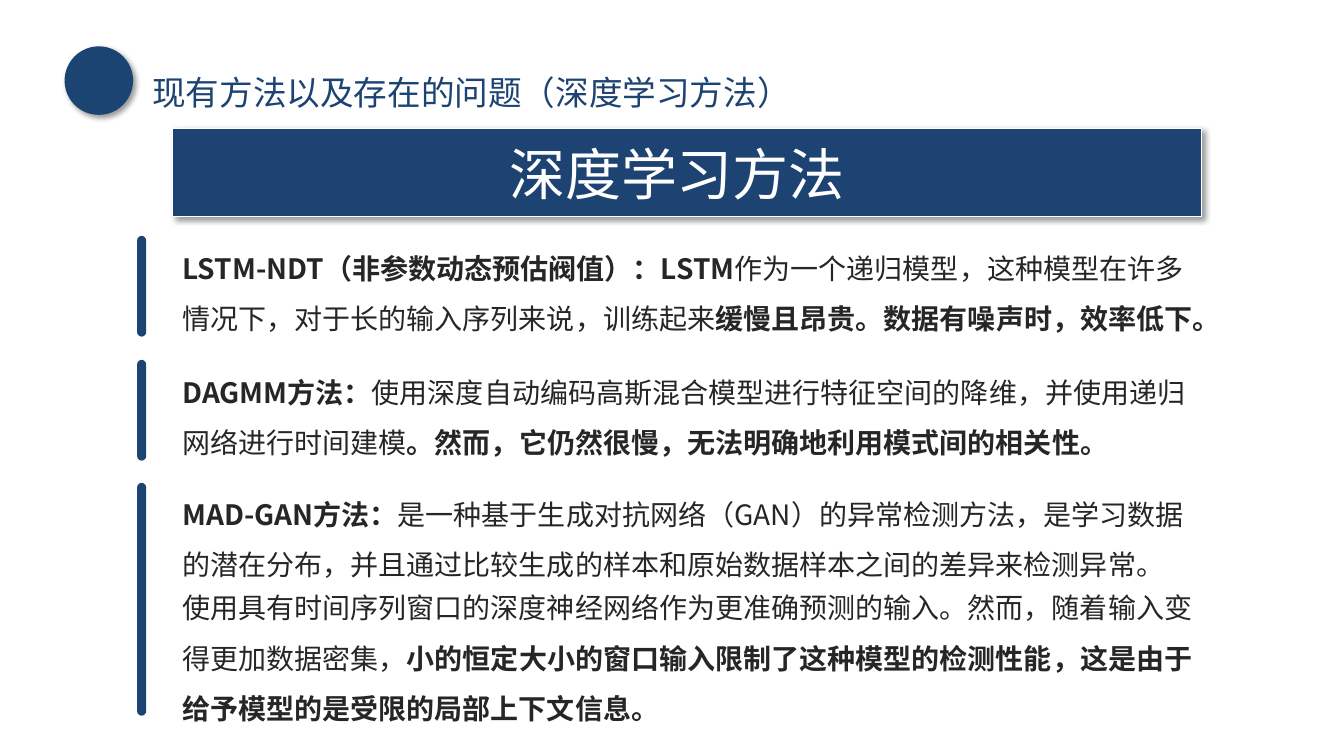
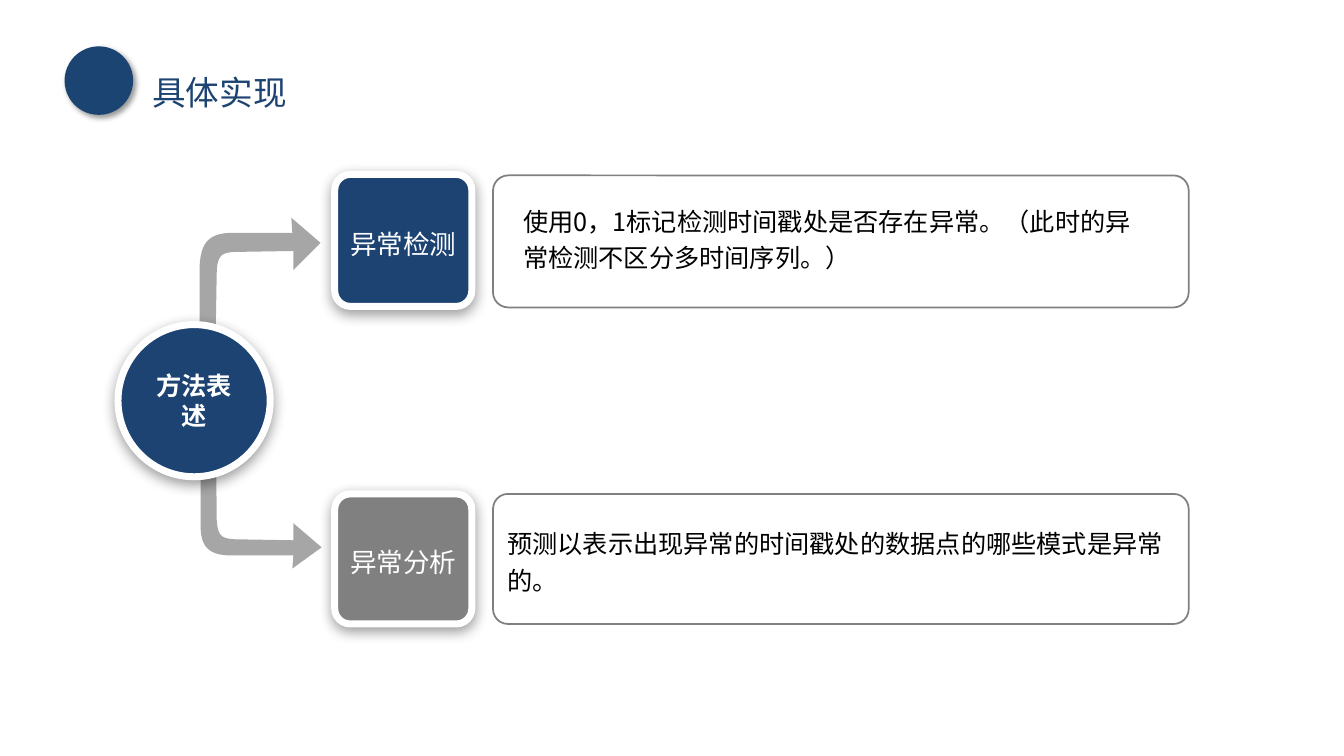
"""Build two slides on deep learning methods and the anomaly workflow."""
from lxml import etree
from pptx import Presentation
from pptx import util as u
from pptx.dml.color import RGBColor
from pptx.enum import shapes, text
from pptx.oxml.ns import qn

PX = 9144
NAVY = RGBColor(0x1C, 0x43, 0x72)
DISC = RGBColor(0x1B, 0x44, 0x72)
WHITE = RGBColor(0xFF, 0xFF, 0xFF)
BLACK = RGBColor(0, 0, 0)
INK = RGBColor(0x26, 0x26, 0x26)
GREY = RGBColor(0x80, 0x80, 0x80)
ARROW = RGBColor(0xA6, 0xA6, 0xA6)
SANS = "Noto Sans CJK SC"
HEAD = "Noto Sans CJK JP"
RECT = shapes.MSO_SHAPE.RECTANGLE
ROUND = shapes.MSO_SHAPE.ROUNDED_RECTANGLE
OVAL = shapes.MSO_SHAPE.OVAL
LEFT, MID = text.PP_ALIGN.LEFT, text.PP_ALIGN.CENTER
TOP, CENTRE = text.MSO_ANCHOR.TOP, text.MSO_ANCHOR.MIDDLE
GROW, FIXED = text.MSO_AUTO_SIZE.SHAPE_TO_FIT_TEXT, text.MSO_AUTO_SIZE.NONE
SOFT = (4, 3, 45)
DEEP = (10, 3, 90)


def draw(slide, kind, box, fill=None, line=None, width=0, shade=None, adj=None):
    form = slide.shapes.add_shape(kind, *[v * PX for v in box])
    if adj is not None:
        form.adjustments[0] = adj
    if fill is None:
        form.fill.background()
    else:
        form.fill.solid()
        form.fill.fore_color.rgb = fill
    if line is None:
        form.line.fill.background()
    else:
        form.line.color.rgb = line
        form.line.width = u.Pt(width)
    form.shadow.inherit = False
    if shade:
        blur, dist, angle = shade
        glow = etree.SubElement(
            form._element.spPr.find(qn("a:effectLst")), qn("a:outerShdw"),
            blurRad=str(u.Pt(blur)), dist=str(u.Pt(dist)),
            dir=str(angle * 60000), algn="ctr", rotWithShape="0")
        tint = etree.SubElement(glow, qn("a:srgbClr"), val="000000")
        etree.SubElement(tint, qn("a:alpha"), val="40000")
    return form


def write(form, runs, size, color, font=SANS, align=LEFT, space=1.0,
          anchor=CENTRE, fit=FIXED):
    frame = form.text_frame
    frame.word_wrap = True
    frame.auto_size = fit
    frame.vertical_anchor = anchor
    par = frame.paragraphs[0]
    par.alignment = align
    par.line_spacing = space
    for words, bold in runs:
        run = par.add_run()
        run.text = words
        run.font.size = u.Pt(size)
        run.font.bold = bold
        run.font.color.rgb = color
        run.font.name = font
        etree.SubElement(run._r.get_or_add_rPr(), qn("a:ea"), typeface=font)


deck = Presentation()
deck.slide_width = 1333 * PX
deck.slide_height = 750 * PX

pages = []
for words in ("现有方法以及存在的问题（深度学习方法）", "具体实现"):
    page = deck.slides.add_slide(deck.slide_layouts[5])
    title = page.shapes.title
    title.left, title.top, title.width, title.height = [
        v * PX for v in (141, 36, 1156, 80)]
    write(title, [(words, False)], 24, NAVY, HEAD, space=1.75, anchor=TOP)
    draw(page, OVAL, (64, 46, 68, 68), DISC, shade=SOFT)
    pages.append(page)
survey, work = pages

notes = [
    (227, 111, [
        ("LSTM-NDT（非参数动态预估阀值）：LSTM", True),
        ("作为一个递归模型，这种模型在许多情况下，对于长的输入序列来说，训练起来", False),
        ("缓慢且昂贵。数据有噪声时，效率低下。", True)]),
    (350, 111, [
        ("DAGMM方法：", True),
        ("使用深度自动编码高斯混合模型进行特征空间的降维，并使用递归网络进行时间建模", False),
        ("。然而，它仍然很慢，无法明确地利用模式间的相关性。", True)]),
    (471, 111, [
        ("MAD-GAN方法：", True),
        ("是一种基于生成对抗网络（GAN）的异常检测方法，是学习数据的潜在分布，"
         "并且通过比较生成的样本和原始数据样本之间的差异来检测异常。", False)]),
    (564, 161, [
        ("使用具有时间序列窗口的深度神经网络作为更准确预测的输入。"
         "然而，随着输入变得更加数据密集，", False),
        ("小的恒定大小的窗口输入限制了这种模型的检测性能，"
         "这是由于给予模型的是受限的局部上下文信息。", True)]),
]
for top, high, runs in notes:
    box = survey.shapes.add_textbox(*[v * PX for v in (171, top, 1025, high)])
    write(box, runs, 20, INK, space=1.5, fit=GROW)
for top, high in ((234, 100), (357, 100), (479, 231)):
    draw(survey, ROUND, (136, top, 9, high), NAVY, adj=0.5)
draw(survey, RECT, (171, 127, 1021, 88), NAVY, WHITE, 0.75, SOFT)
label = survey.shapes.add_textbox(*[v * PX for v in (430, 133, 483, 77)])
write(label, [("深度学习方法", False)], 40, WHITE, align=MID, fit=GROW)

bends = [
    [(214, 417), (215, 516), (216, 534, 222, 534, 233, 535), (291, 536),
     (291, 519), (319, 543), (290, 564), (291, 551),
     (291, 551, 251, 551, 229, 551), (207, 551, 199, 542, 199, 522),
     (199, 415), (202, 398, 211, 400, 214, 417)],
    [(213, 386), (215, 272), (215, 251, 222, 251, 232, 250), (291, 249),
     (291, 268), (318, 241), (289, 216), (290, 231),
     (290, 231, 250, 231, 228, 231), (206, 232, 199, 242, 198, 265),
     (198, 389), (201, 409, 210, 407, 213, 386)],
]
STEPS = 12
for start, *moves in bends:
    dots = [start]
    for move in moves:
        if len(move) == 2:
            dots.append(move)
            continue
        ends = [dots[-1], move[:2], move[2:4], move[4:]]
        for step in range(1, STEPS + 1):
            t = step / STEPS
            part = ((1 - t) ** 3, 3 * t * (1 - t) ** 2, 3 * t * t * (1 - t), t ** 3)
            dots.append(tuple(sum(k * e[i] for k, e in zip(part, ends))
                              for i in (0, 1)))
    dots = [(round(x * PX), round(y * PX)) for x, y in dots]
    path = work.shapes.build_freeform(*dots[0], scale=1.0)
    path.add_line_segments(dots[1:], close=True)
    bend = path.convert_to_shape()
    bend.fill.solid()
    bend.fill.fore_color.rgb = ARROW
    bend.line.fill.background()
    bend.shadow.inherit = False

tasks = [(174, 131, 173, 131, NAVY, "异常检测"), (490, 129, 490, 129, GREY, "异常分析")]
cards = []
for top, high, tip, tall, fill, name in tasks:
    cards.append(draw(work, ROUND, (489, top, 690, high), None, GREY, 1.25, adj=0.115))
    tile = draw(work, ROUND, (332, tip, 136, tall), fill, WHITE, 5, DEEP, 0.119)
    tile.text_frame.margin_left = tile.text_frame.margin_right = 9 * PX
    write(tile, [(name, False)], 19, WHITE, align=MID, space=1.2)
write(cards[1], [("预测以表示出现异常的时间戳处的数据点的哪些模式是异常的。", False)],
      18, BLACK, space=1.2)
hub = draw(work, OVAL, (117, 322, 151, 151), NAVY, WHITE, 5, DEEP)
write(hub, [("方法表述", True)], 18, WHITE, align=MID)
note = work.shapes.add_textbox(*[v * PX for v in (509, 194, 643, 83)])
write(note, [("使用0，1标记检测时间戳处是否存在异常。（此时的异常检测不区分多时间序列。）", False)],
      18, BLACK, space=1.2, anchor=TOP, fit=GROW)

deck.save("out.pptx")
